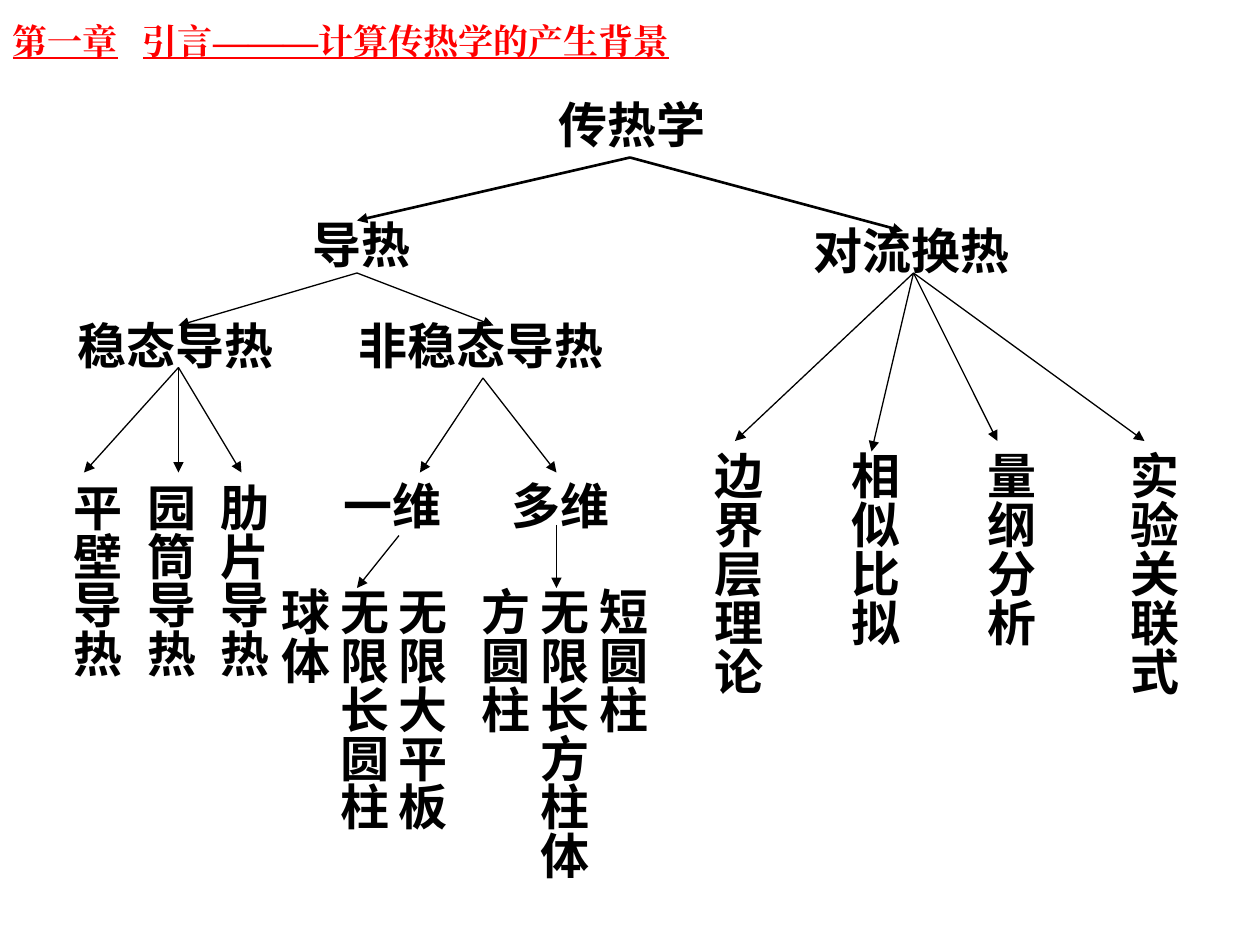
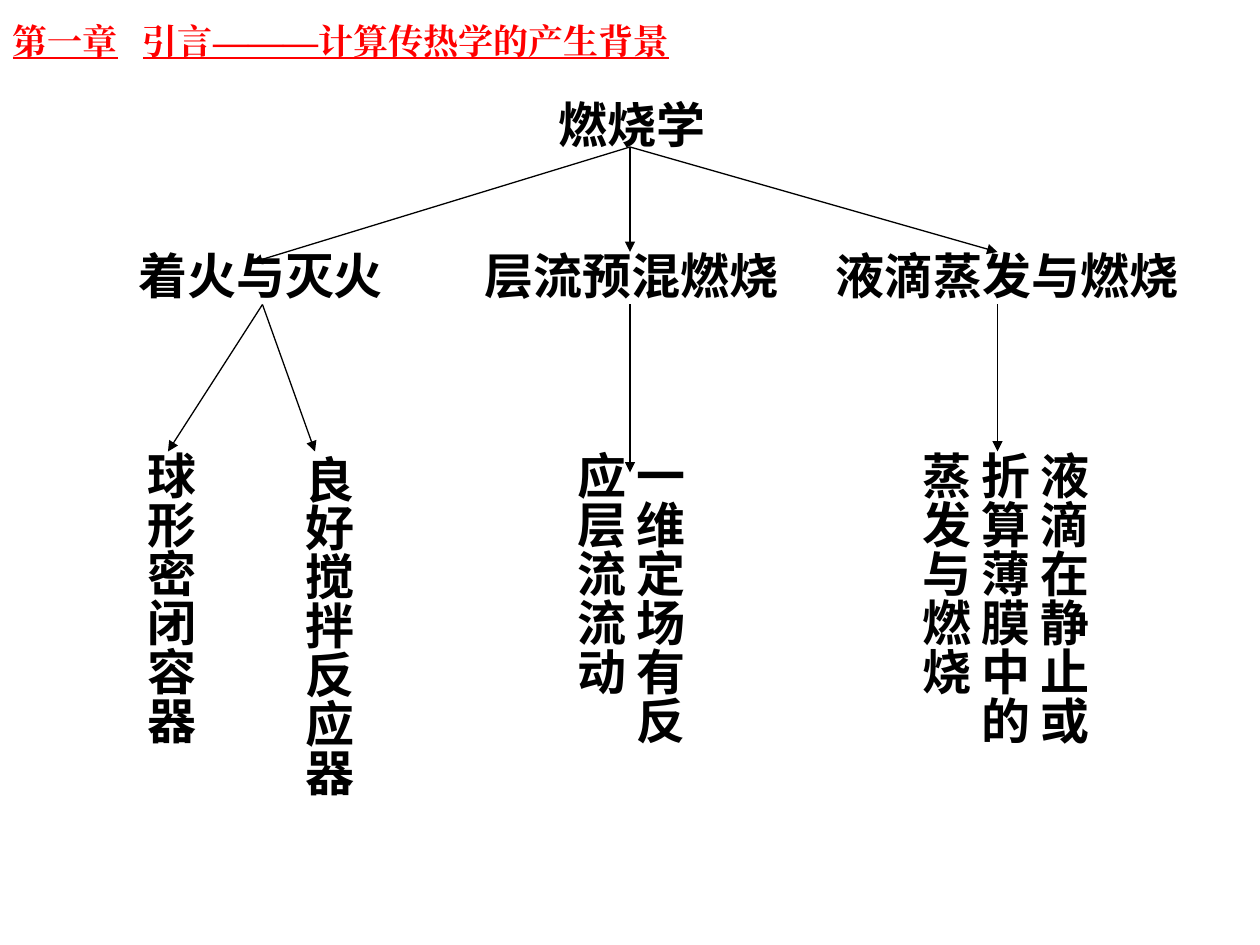
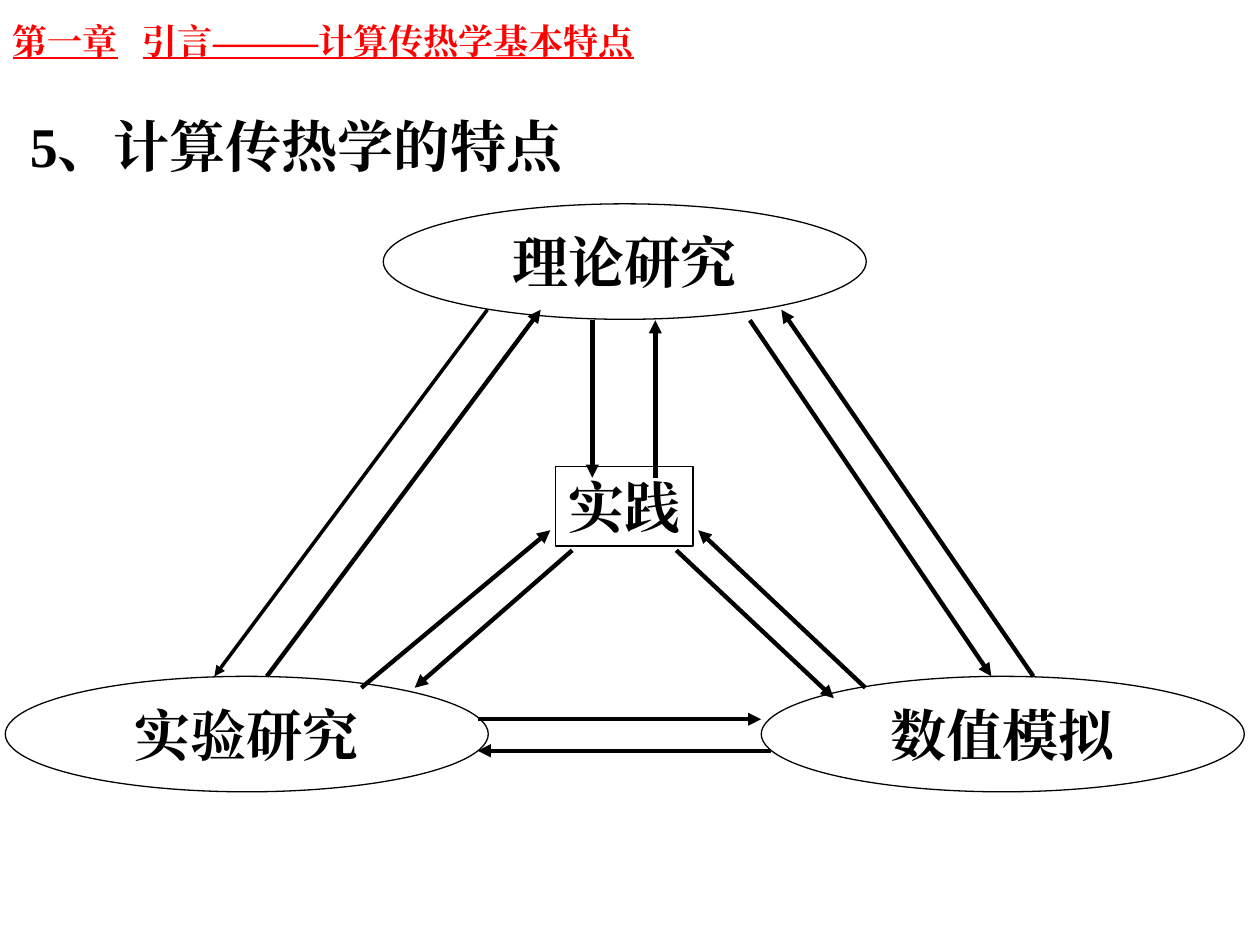
import pptx
import pptx.dml.color
import pptx.enum.shapes
import pptx.enum.text
import pptx.oxml.ns
import pptx.util
from lxml import etree

BLACK = "000000"
RED = "FF0000"
SERIF = "Times New Roman"
SANS = "Noto Sans CJK SC"
LABEL_SIZE = 28
HEADING_SIZE = 32
LINE_HEIGHT = 1.2
THIN = 0.75
MEDIUM = 1.5
THICK = 2.5
BACKGROUND_TITLE = "第一章\t引言———计算传热学的产生背景"
FEATURES_TITLE = "第一章\t引言———计算传热学基本特点"


def color(hex_string):
    return pptx.dml.color.RGBColor.from_string(hex_string)


def points(*lengths):
    return [pptx.util.Pt(length) for length in lengths]


def add_xml(parent, tag, **attributes):
    return etree.SubElement(parent, pptx.oxml.ns.qn(tag), **attributes)


def format_text(text_frame, size, font, hex_string=BLACK, underline=None):
    for paragraph in text_frame.paragraphs:
        for run in paragraph.runs:
            run.font.size = pptx.util.Pt(size)
            run.font.bold = True
            run.font.underline = underline
            run.font.color.rgb = color(hex_string)
            run.font.name = font
            add_xml(run.font._element, "a:ea", typeface=font)


def add_titled_slide(presentation, text):
    slide = presentation.slides.add_slide(presentation.slide_layouts[5])
    title = slide.shapes.title
    title.left, title.top, title.width, title.height = points(0, -1.5, 726, 49)
    text_frame = title.text_frame
    text_frame.text = text
    text_frame.auto_size = pptx.enum.text.MSO_AUTO_SIZE.NONE
    text_frame.vertical_anchor = pptx.enum.text.MSO_ANCHOR.MIDDLE
    paragraph = text_frame.paragraphs[0]
    paragraph.alignment = pptx.enum.text.PP_ALIGN.LEFT
    tabs = add_xml(paragraph._p.get_or_add_pPr(), "a:tabLst")
    add_xml(tabs, "a:tab", pos=str(pptx.util.Pt(74.5)), algn="l")
    format_text(text_frame, 20, SERIF, RED, True)
    return slide


def add_text(slide, text, box, size=LABEL_SIZE, font=SANS, margins=(0, 0), wrap=False):
    shape = slide.shapes.add_textbox(*points(*box))
    text_frame = shape.text_frame
    text_frame.text = text
    text_frame.word_wrap = wrap
    text_frame.auto_size = pptx.enum.text.MSO_AUTO_SIZE.SHAPE_TO_FIT_TEXT
    horizontal, vertical = points(*margins)
    text_frame.margin_left = text_frame.margin_right = horizontal
    text_frame.margin_top = text_frame.margin_bottom = vertical
    format_text(text_frame, size, font)
    return shape


def add_label(slide, text, left, top, font=SANS):
    box = (left, top, LABEL_SIZE * len(text), LABEL_SIZE * LINE_HEIGHT)
    add_text(slide, text, box, font=font)


def add_vertical_label(slide, text, left, top, columns=1, height=None):
    lines = text.split("\n")
    width = LABEL_SIZE * LINE_HEIGHT * max(columns, len(lines))
    text_height = height or LABEL_SIZE * max(map(len, lines))
    shape = add_text(slide, text, (left, top, width, text_height), wrap=height is not None)
    shape.element.txBody.bodyPr.set("vert", "eaVert")


def add_arrow(slide, start, end, width=THIN):
    connector = slide.shapes.add_connector(
        pptx.enum.shapes.MSO_CONNECTOR.STRAIGHT, *points(*start, *end))
    connector.line.color.rgb = color(BLACK)
    connector.line.width = pptx.util.Pt(width)
    add_xml(connector.line._get_or_add_ln(), "a:tailEnd", type="triangle")
    add_xml(connector.element.spPr, "a:effectLst")


def add_fan(slide, start, ends, width=THIN):
    for end in ends:
        add_arrow(slide, start, end, width)


def add_node(slide, kind, text, box):
    shape = slide.shapes.add_shape(kind, *points(*box))
    shape.shadow.inherit = False
    shape.fill.background()
    shape.line.color.rgb = color(BLACK)
    shape.line.width = pptx.util.Pt(THIN)
    text_frame = shape.text_frame
    text_frame.text = text
    text_frame.word_wrap = False
    text_frame.vertical_anchor = pptx.enum.text.MSO_ANCHOR.MIDDLE
    text_frame.paragraphs[0].alignment = pptx.enum.text.PP_ALIGN.CENTER
    format_text(text_frame, HEADING_SIZE, SERIF)


def build_heat_transfer_tree(presentation):
    slide = add_titled_slide(presentation, BACKGROUND_TITLE)
    for text, left, top in (
        ("传热学", 319, 54),
        ("导热", 178.5, 122.5),
        ("对流换热", 465, 126),
        ("稳态导热", 44.5, 180),
        ("非稳态导热", 205, 180),
    ):
        add_label(slide, text, left, top)
    for text, left in (("一维", 196.5), ("多维", 292.5)):
        add_label(slide, text, left, 272, "Arial")
    for index, text in enumerate(("平壁导热", "园筒导热", "肋片导热")):
        add_vertical_label(slide, text, 38.4 + 42 * index, 276)
    for text, left in (("相似比拟", 482.5), ("量纲分析", 560.5), ("实验关联式", 642)):
        add_vertical_label(slide, text, left, 258)
    add_vertical_label(slide, "边界层理论", 404.5, 258, height=150)
    add_vertical_label(slide, "无限大平板\n无限长圆柱\n球体", 157, 335.5)
    add_vertical_label(slide, "短圆柱\n无限长方柱体\n方圆柱", 271.5, 335.5)

    add_fan(slide, (360, 90), ((204, 126), (516, 132)), MEDIUM)
    add_fan(slide, (204, 156), ((102, 186), (282, 186)))
    add_fan(slide, (102, 210), ((48, 270), (102, 270), (138, 270)))
    add_fan(slide, (276, 216), ((240, 270), (318, 270)))
    add_fan(slide, (522, 156), ((420, 252), (498, 258), (570, 252), (654, 252)))
    add_arrow(slide, (228, 306), (204, 336))
    add_arrow(slide, (318, 300), (318, 336))


def build_combustion_tree(presentation):
    slide = add_titled_slide(presentation, BACKGROUND_TITLE)
    add_label(slide, "燃烧学", 319, 54)
    for text, left in (("着火与灭火", 79), ("层流预混燃烧", 277), ("液滴蒸发与燃烧", 477.5)):
        add_label(slide, text, left, 140.5)
    add_vertical_label(slide, "球形密闭容器", 80.5, 258)
    add_vertical_label(slide, "良好搅拌反应器", 170.5, 260)
    add_vertical_label(slide, "一维定场有反应层流流动", 326, 258, 2, 174)
    add_vertical_label(slide, "液滴在静止或折算薄膜中的蒸发与燃烧", 523.5, 258, 3, 174)

    add_fan(slide, (360, 84), ((144, 150), (360, 144), (570, 144)))
    add_fan(slide, (150, 174), ((96, 258), (180, 258)))
    add_arrow(slide, (360, 174), (360, 270))
    add_arrow(slide, (570, 174), (570, 258))


def build_method_triangle(presentation):
    slide = add_titled_slide(presentation, FEATURES_TITLE)
    add_text(slide, "5、计算传热学的特点", (10, 60, 343, 45.6),
             HEADING_SIZE, SERIF, (7.2, 3.6))
    shapes = pptx.enum.shapes.MSO_SHAPE
    for text, left, top in (
        ("理论研究", 219, 116.5),
        ("实验研究", 3, 386.5),
        ("数值模拟", 435, 386.5),
    ):
        add_node(slide, shapes.OVAL, text, (left, top, 276, 66))
    add_node(slide, shapes.RECTANGLE, "实践", (317.5, 266.5, 78.5, 45.5))

    add_arrow(slide, (278.5, 177), (122.5, 386.5), 2)
    for start, end in (
        ((152.5, 386.5), (309, 177)),
        ((273, 411), (435, 411)),
        ((440.5, 429), (273, 429)),
        ((428.5, 183), (566.5, 386.5)),
        ((590.5, 386.5), (446.5, 177)),
        ((338.5, 183), (338.5, 273)),
        ((374.5, 273), (374.5, 183)),
        ((206.5, 393), (314.5, 303)),
        ((327, 314.5), (237, 393)),
        ((386.5, 314.5), (476.5, 399)),
        ((494.5, 393), (399, 303)),
    ):
        add_arrow(slide, start, end, THICK)


def main():
    presentation = pptx.Presentation()
    presentation.slide_width, presentation.slide_height = points(720, 540)
    build_heat_transfer_tree(presentation)
    build_combustion_tree(presentation)
    build_method_triangle(presentation)
    presentation.save("out.pptx")


if __name__ == "__main__":
    main()
